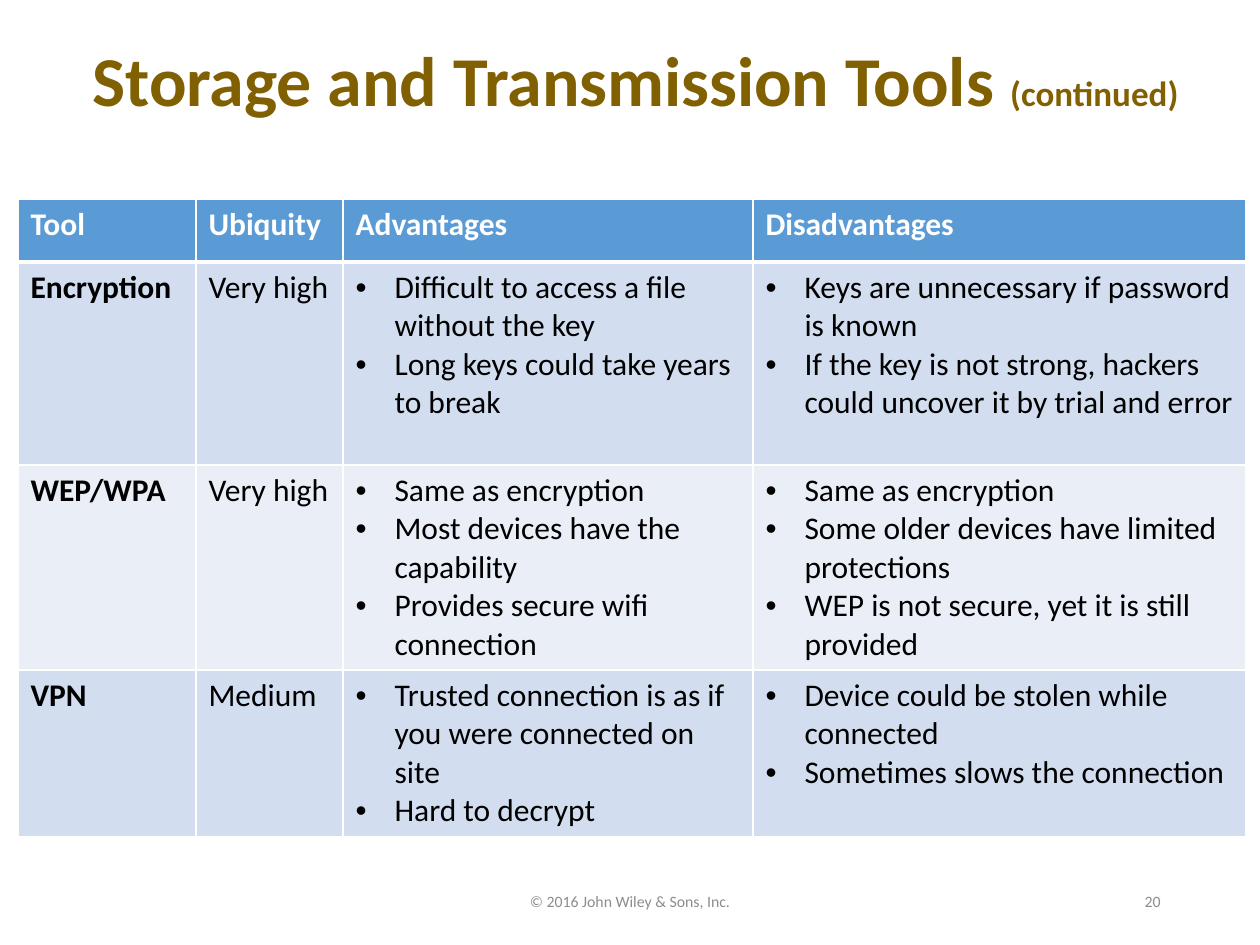
from lxml import etree
from pptx import Presentation
from pptx import util as u
from pptx.dml.color import RGBColor
from pptx.enum import text
from pptx.oxml.ns import qn

BROWN = RGBColor(0x80, 0x60, 0x00)
BLUE = RGBColor(0x5B, 0x9B, 0xD5)
BAND_DARK = RGBColor(0xD2, 0xDE, 0xEF)
BAND_LIGHT = RGBColor(0xEA, 0xEF, 0xF7)
WHITE = RGBColor(0xFF, 0xFF, 0xFF)
BLACK = RGBColor(0x00, 0x00, 0x00)
GRAY = RGBColor(0x8C, 0x8C, 0x8C)

COLUMNS = [178, 147, 410, 493]
ROWS = [63, 203, 204, 166]
TOOLS = [
    ["Tool", "Ubiquity", "Advantages", "Disadvantages"],
    ["Encryption", "Very high",
     ["Difficult to access a file without the key",
      "Long keys could take years to break"],
     ["Keys are unnecessary if password is known",
      "If the key is not strong, hackers could uncover it by trial and error"]],
    ["WEP/WPA", "Very high",
     ["Same as encryption",
      "Most devices have the capability",
      "Provides secure wifi connection"],
     ["Same as encryption",
      "Some older devices have limited protections",
      "WEP is not secure, yet it is still provided"]],
    ["VPN", "Medium",
     ["Trusted connection is as if you were connected on site",
      "Hard to decrypt"],
     ["Device could be stolen while connected",
      "Sometimes slows the connection"]],
]


def px(n):
    return u.Emu(round(n * 914400 / 126))


class Deck:
    font = "Calibri"

    def __init__(self):
        self.prs = Presentation()
        self.prs.slide_width, self.prs.slide_height = px(1260), px(945)
        self.slide = self.prs.slides.add_slide(self.prs.slide_layouts[5])

    def style(self, r, size, color, bold=False):
        r.font.name, r.font.size, r.font.bold = self.font, u.Pt(size), bold
        r.font.color.rgb = color

    def title(self, x, y, w, h, runs):
        sp = self.slide.shapes.title
        sp.left, sp.top, sp.width, sp.height = map(px, (x, y, w, h))
        tf = sp.text_frame
        tf.auto_size = text.MSO_AUTO_SIZE.NONE
        tf.vertical_anchor = text.MSO_ANCHOR.MIDDLE
        p = tf.paragraphs[0]
        p.alignment, p.line_spacing = text.PP_ALIGN.CENTER, 0.9
        for words, size in runs:
            r = p.add_run()
            r.text = words
            self.style(r, size, BROWN, True)

    def label(self, x, y, w, h, words, align):
        tf = self.slide.shapes.add_textbox(*map(px, (x, y, w, h))).text_frame
        tf.word_wrap = True
        tf.vertical_anchor = text.MSO_ANCHOR.MIDDLE
        tf.text = words
        p = tf.paragraphs[0]
        p.alignment = align
        self.style(p.runs[0], 9, GRAY)

    def bullet(self, p):
        pPr = p._p.get_or_add_pPr()
        pPr.set("marL", str(px(39)))
        pPr.set("indent", str(px(-39)))
        etree.SubElement(pPr, qn("a:buFont"), typeface="Arial")
        etree.SubElement(pPr, qn("a:buChar"), char="•")

    def borders(self, cell, top, bottom):
        tcPr = cell._tc.get_or_add_tcPr()
        for side, width in (("L", 1), ("R", 1), ("T", top), ("B", bottom)):
            ln = etree.SubElement(tcPr, qn("a:ln" + side), w=str(u.Pt(width)))
            fill = etree.SubElement(ln, qn("a:solidFill"))
            etree.SubElement(fill, qn("a:srgbClr"), val=str(WHITE))

    def cell(self, cell, content, color, bold):
        bulleted = isinstance(content, list)
        cell.text = "\n".join(content) if bulleted else content
        for p in cell.text_frame.paragraphs:
            if bulleted:
                self.bullet(p)
            self.style(p.runs[0], 18, color, bold)

    def table(self, x, y, widths, heights, rows):
        table = self.slide.shapes.add_table(
            len(rows), len(widths), *map(px, (x, y, sum(widths), sum(heights)))).table
        for column, width in zip(table.columns, widths):
            column.width = px(width)
        for i, (row, height) in enumerate(zip(rows, heights)):
            table.rows[i].height = px(height)
            header = i == 0
            fill = BLUE if header else BAND_DARK if i % 2 else BAND_LIGHT
            for j, content in enumerate(row):
                cell = table.cell(i, j)
                self.cell(cell, content, WHITE if header else BLACK, header or j == 0)
                self.borders(cell, 3 if i == 1 else 1, 3 if header else 1)
                cell.fill.solid()
                cell.fill.fore_color.rgb = fill


def main():
    deck = Deck()
    deck.title(21, 10, 1229, 147,
               [("Storage and Transmission Tools ", 40), ("(continued)", 20)])
    deck.table(18, 199, COLUMNS, ROWS, TOOLS)
    deck.label(417, 876, 426, 50, "© 2016 John Wiley & Sons, Inc.", text.PP_ALIGN.CENTER)
    deck.label(890, 876, 283, 50, "20", text.PP_ALIGN.RIGHT)
    deck.prs.save("out.pptx")


if __name__ == "__main__":
    main()
